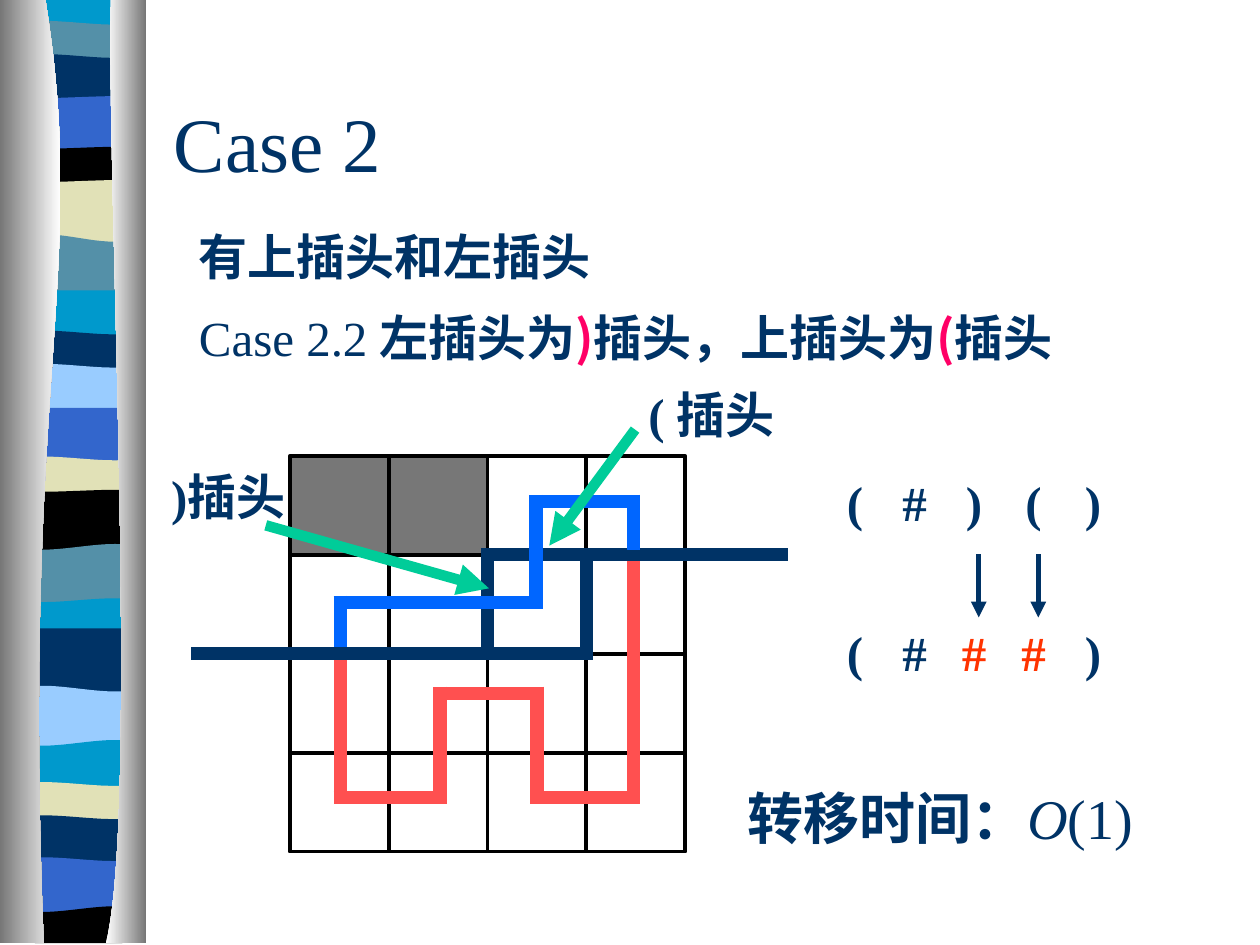
import pptx
import pptx.dml.color
import pptx.enum.shapes
import pptx.enum.text
import pptx.oxml
import pptx.oxml.ns
import pptx.util

Pt = pptx.util.Pt
RGBColor = pptx.dml.color.RGBColor
MSO_SHAPE = pptx.enum.shapes.MSO_SHAPE
MSO_CONNECTOR = pptx.enum.shapes.MSO_CONNECTOR
MSO_ANCHOR = pptx.enum.text.MSO_ANCHOR
PP_ALIGN = pptx.enum.text.PP_ALIGN

NAVY = RGBColor(0x00, 0x33, 0x66)
BLACK = RGBColor(0x00, 0x00, 0x00)
WHITE = RGBColor(0xFF, 0xFF, 0xFF)
GREY = RGBColor(0x77, 0x77, 0x77)
CYAN = RGBColor(0x00, 0x99, 0xCC)
STEEL = RGBColor(0x54, 0x90, 0xA8)
ROYAL = RGBColor(0x33, 0x66, 0xCC)
CREAM = RGBColor(0xE1, 0xE1, 0xB7)
SKY = RGBColor(0x99, 0xCC, 0xFF)
RED = RGBColor(0xFF, 0x50, 0x50)
BLUE = RGBColor(0x00, 0x66, 0xFF)
GREEN = RGBColor(0x00, 0xCC, 0x99)
ORANGE = RGBColor(0xFF, 0x33, 0x00)
PINK = RGBColor(0xFF, 0x00, 0x66)

SERIF = "Times New Roman"
CJK = "Noto Sans CJK SC"
PATH_WIDTH = 7.5

# Top edge of each ribbon band: left height, right height, colour
BANDS = [
    (0, 0, CYAN), (12, 14, STEEL), (31, 33, NAVY), (56, 55, ROYAL),
    (85, 84, BLACK), (104, 103, CREAM), (134, 138, STEEL), (166, 166, CYAN),
    (189, 191, NAVY), (208, 210, SKY), (233, 233, ROYAL), (261, 263, CREAM),
    (281, 280, BLACK), (314, 311, STEEL), (344, 342, CYAN), (359, 359, NAVY),
    (392, 395, SKY), (426, 423, CYAN), (447, 449, CREAM), (466, 468, NAVY),
    (490, 492, ROYAL), (521, 518, BLACK), (538, 538, BLACK),
]


def add_outline(slide, points):
    """Add a closed, unlined outline through points."""
    fb = slide.shapes.build_freeform(Pt(points[0][0]), Pt(points[0][1]), scale=1.0)
    fb.add_line_segments([(Pt(x), Pt(y)) for x, y in points[1:]], close=True)
    sp = fb.convert_to_shape()
    sp.shadow.inherit = False
    sp.line.fill.background()
    return sp


def curve(p0, p1, p2, p3, steps=40):
    """Return points along a cubic curve."""
    weights = [((1 - t) ** 3, 3 * t * (1 - t) ** 2, 3 * t * t * (1 - t), t ** 3)
               for t in (i / steps for i in range(steps + 1))]
    return [tuple(sum(w * p[k] for w, p in zip(ws, (p0, p1, p2, p3)))
                  for k in (0, 1)) for ws in weights]


def add_cover(slide, points, start, end):
    """Add a side cover shaded from left to right."""
    sp = add_outline(slide, points)
    sp.fill.gradient()
    sp.fill.gradient_angle = 0
    for stop, color in zip(sp.fill.gradient_stops, (start, end)):
        stop.color.rgb = color


def add_ribbon(slide, left, top, width, height):
    """Add the striped ribbon between two shaded covers."""
    x0, x1 = left + 20, left + 70
    for (y0, y1, color), (n0, n1, _) in zip(BANDS, BANDS[1:]):
        bend = (y1 - y0) / 3
        edge = curve((x0, top + y0), (x0 + 16, top + y0 - bend),
                     (x1 - 16, top + y1 + bend), (x1, top + y1), 12)
        bottom = top + min(max(n0, n1) + 4, height)
        sp = add_outline(slide, edge + [(x1, bottom), (x0, bottom)])
        sp.fill.solid()
        sp.fill.fore_color.rgb = color
    base, right = top + height, left + width
    inner = curve((left + 26, top), (left + 51, top + 156),
                  (left + 12, top + 213), (left + 25, base))
    add_cover(slide, inner + [(left, base), (left, top)], GREY, WHITE)
    outer = curve((left + 63.4, top), (left + 60.5, top + 90),
                  (left + 80, top + 465), (left + 60.5, base))
    add_cover(slide, outer + [(right, base), (right, top)], WHITE, GREY)


def add_text(slide, left, top, width, height, runs, size=28,
             anchor=MSO_ANCHOR.TOP, align=PP_ALIGN.LEFT, wrap=True):
    """Add one line of runs: (text, font, bold, colour, italic)."""
    tf = slide.shapes.add_textbox(Pt(left), Pt(top), Pt(width), Pt(height)).text_frame
    tf.word_wrap = wrap
    tf.vertical_anchor = anchor
    p = tf.paragraphs[0]
    p.alignment = align
    for text, font, bold, color, italic in runs:
        r = p.add_run()
        r.text = text
        r.font.name = font
        r.font.size = Pt(size)
        r.font.bold = bold
        r.font.italic = italic
        r.font.color.rgb = color
        ea = pptx.oxml.parse_xml(
            '<a:ea %s typeface="%s"/>' % (pptx.oxml.ns.nsdecls("a"), CJK))
        r.font._element.append(ea)


def add_line(slide, start, end, color, width, arrow=False):
    """Add a straight line, with an arrowhead at its end if asked."""
    sp = slide.shapes.add_connector(
        MSO_CONNECTOR.STRAIGHT, *[Pt(v) for v in (*start, *end)])
    sp.line.color.rgb = color
    sp.line.width = Pt(width)
    ns = pptx.oxml.ns.nsdecls("a")
    if arrow:
        sp.line._get_or_add_ln().append(
            pptx.oxml.parse_xml('<a:tailEnd %s type="triangle"/>' % ns))
    sp._element.spPr.append(pptx.oxml.parse_xml("<a:effectLst %s/>" % ns))


def add_route(slide, left, top, cell, stops, color):
    """Add a thick right-angled route through stops given in cells."""
    half = PATH_WIDTH / 2
    points = [(left + cell * c, top + cell * r) for c, r in stops]
    for a, b in zip(points, points[1:]):
        a, b = sorted((a, b))
        dx, dy = (half, 0) if b[0] - a[0] > b[1] - a[1] else (0, half)
        add_line(slide, (a[0] - dx, a[1] - dy), (b[0] + dx, b[1] + dy),
                 color, PATH_WIDTH)


def add_grid(slide, left, top, cell):
    """Add the 4 by 4 board with its routes and frontier."""
    for i in range(16):
        row, col = divmod(i, 4)
        sp = slide.shapes.add_shape(MSO_SHAPE.RECTANGLE, Pt(left + col * cell),
                                    Pt(top + row * cell), Pt(cell), Pt(cell))
        sp.shadow.inherit = False
        sp.line.color.rgb = BLACK
        sp.line.width = Pt(2.25)
        if i < 2:
            sp.fill.solid()
            sp.fill.fore_color.rgb = GREY
        else:
            sp.fill.background()
    routes = [
        (RED, [(0.51, 1.48), (0.51, 3.45), (1.52, 3.45), (1.52, 2.4), (2.5, 2.4),
               (2.5, 3.45), (3.48, 3.45), (3.48, 0.46)]),
        (NAVY, [(-0.93, 2), (3, 2), (3, 1), (4.97, 1)]),
        (NAVY, [(2, 2), (2, 1), (3, 1)]),
        (BLUE, [(0.51, 1.87), (0.51, 1.48), (2.49, 1.48), (2.49, 0.46),
                (3.48, 0.46), (3.48, 0.88)]),
    ]
    for color, stops in routes:
        add_route(slide, left, top, cell, stops, color)


def add_states(slide, left, top, pitch, drop):
    """Add the state row before and after, joined by arrows."""
    rows = [("(#)()", ()), ("(###)", (2, 3))]
    for row, (symbols, changed) in enumerate(rows):
        for col, symbol in enumerate(symbols):
            color = ORANGE if col in changed else NAVY
            add_text(slide, left + col * pitch, top + row * drop, pitch, pitch,
                     [(symbol, SERIF, True, color, False)],
                     anchor=MSO_ANCHOR.MIDDLE, align=PP_ALIGN.CENTER, wrap=False)
    for col in (2, 3):
        x = left + (col + 0.58) * pitch
        add_line(slide, (x, top + 46.8), (x, top + 82.8), NAVY, 3, arrow=True)


def add_plug_label(slide, left, top, text, start, end):
    """Add a plug label and its pointer, relative to the label's corner."""
    add_text(slide, left, top, 114, 41, [(text, SERIF, True, NAVY, False)])
    add_line(slide, (left + start[0], top + start[1]),
             (left + end[0], top + end[1]), GREEN, 6, arrow=True)


def add_heading(slide, left, top):
    """Add the title and the two lines that state the case."""
    add_text(slide, left, top, 148, 90, [("Case 2", SERIF, False, NAVY, False)],
             size=44, anchor=MSO_ANCHOR.MIDDLE)
    add_text(slide, left + 14.4, top + 90, 570, 41,
             [("有上插头和左插头", CJK, True, NAVY, False)])
    parts = [("左插头为", NAVY), (")", PINK), ("插头，上插头为", NAVY),
             ("(", PINK), ("插头", NAVY)]
    add_text(slide, left + 14.4, top + 136, 613, 41,
             [("Case 2.2 ", SERIF, False, NAVY, False)]
             + [(text, CJK, True, color, False) for text, color in parts])


prs = pptx.Presentation()
prs.slide_width, prs.slide_height = Pt(720), Pt(540)
slide = prs.slides.add_slide(prs.slide_layouts[6])
add_ribbon(slide, 0, 0, 83.5, 539)
add_heading(slide, 92.2, 36)
add_grid(slide, 165.6, 260.6, 56.5)
add_text(slide, 419.8, 444.2, 270, 46,
         [("转移时间：", CJK, True, NAVY, False), ("O", SERIF, False, NAVY, True),
          ("(1)", SERIF, False, NAVY, False)], size=32)
add_states(slide, 471.6, 270, 34, 85.7)
add_plug_label(slide, 356.4, 216, " ( 插头", (6.5, 29.5), (-42.5, 95.8))
add_plug_label(slide, 90.7, 262.8, ")插头", (61.2, 37.4), (188.7, 73.4))
prs.save("out.pptx")
